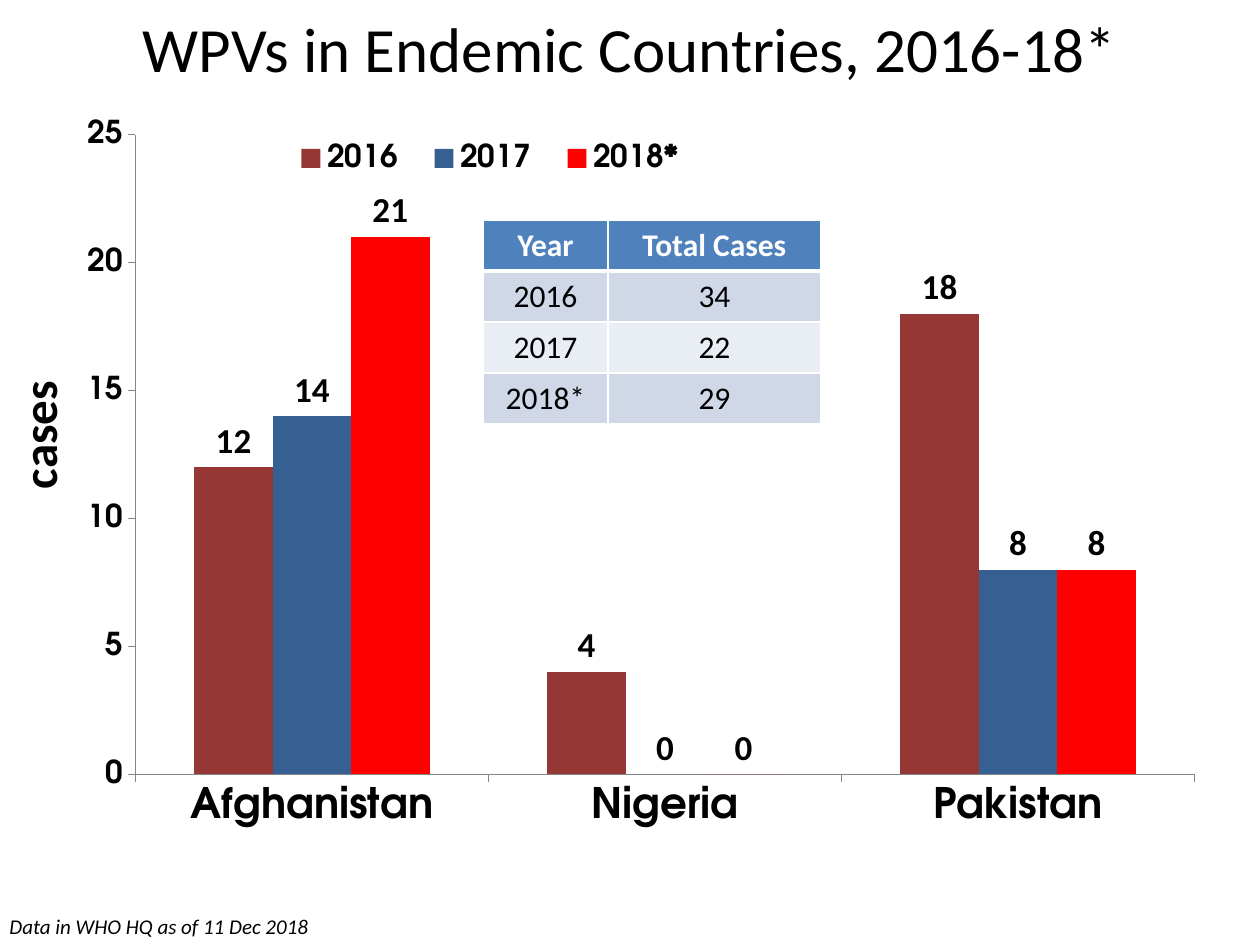
"""Build the slide on WPV cases in endemic countries, 2016-18."""
from lxml.etree import SubElement
from pptx import Presentation
from pptx.chart.data import CategoryChartData
from pptx.dml.color import RGBColor
from pptx.enum.chart import XL_CHART_TYPE, XL_LABEL_POSITION, XL_LEGEND_POSITION, XL_TICK_MARK
from pptx.enum.shapes import MSO_SHAPE
from pptx.enum.text import MSO_ANCHOR, MSO_AUTO_SIZE, PP_ALIGN
from pptx.oxml import parse_xml
from pptx.oxml.ns import nsdecls, qn
from pptx.util import Pt

PX = 914400 / 126
COLORS = {
    "black": "000000", "white": "FFFFFF", "axis": "868686",
    "2016": "953735", "2017": "376092", "2018*": "FF0000",
    "header": "4F81BD", "band": "D0D8E8", "light": "E9EDF4",
}
BODY, DISPLAY = "Calibri", "TeX Gyre Adventor"


def style(font, size, name=BODY, color="black", bold=False, italic=False):
    font.size, font.name, font.bold, font.italic = Pt(size), name, bold, italic
    font.color.rgb = RGBColor.from_string(COLORS[color])


def set_layout(parent, index, target, **box):
    for old in parent.findall(qn("c:layout")):
        parent.remove(old)
    layout = parse_xml(f"<c:layout {nsdecls('c')}/>")
    manual = SubElement(layout, qn("c:manualLayout"))
    if target:
        SubElement(manual, qn("c:layoutTarget")).set("val", target)
    for key in ("xMode", "yMode"):
        SubElement(manual, qn(f"c:{key}")).set("val", "edge")
    for key, value in box.items():
        SubElement(manual, qn(f"c:{key}")).set("val", str(value))
    parent.insert(index, layout)


prs = Presentation()
prs.slide_width, prs.slide_height = int(1260 * PX), int(945 * PX)
s = prs.slides.add_slide(prs.slide_layouts[5])
white = RGBColor.from_string(COLORS["white"])

title = s.shapes.title
title.left, title.top, title.width, title.height = [int(v * PX) for v in (0, 9, 1260, 77)]
title.fill.solid()
title.fill.fore_color.rgb = white
tf = title.text_frame
tf.vertical_anchor = MSO_ANCHOR.MIDDLE
tf.auto_size = MSO_AUTO_SIZE.NONE
p = tf.paragraphs[0]
p.alignment = PP_ALIGN.CENTER
r = p.add_run()
r.text = "WPVs in Endemic Countries, 2016-18*"
style(r.font, 36)

data = CategoryChartData()
data.categories = ["Afghanistan", "Nigeria", "Pakistan"]
for year, cases in (("2016", (12, 4, 18)), ("2017", (14, 0, 8)), ("2018*", (21, 0, 8))):
    data.add_series(year, cases)
box = [int(v * PX) for v in (54, 111, 1164, 790)]
chart = s.shapes.add_chart(XL_CHART_TYPE.COLUMN_CLUSTERED, *box, data).chart
style(chart.font, 18)
chart.has_title = False

plot = chart.plots[0]
plot.gap_width, plot.overlap, plot.vary_by_categories = 150, 0, False
for series in plot.series:
    series.invert_if_negative = False
    series.format.fill.solid()
    series.format.fill.fore_color.rgb = RGBColor.from_string(COLORS[series.name])
    labels = series.data_labels
    labels.show_value = True
    labels.position = XL_LABEL_POSITION.OUTSIDE_END
    style(labels.font, 20, bold=True)

for axis, size in ((chart.category_axis, 24), (chart.value_axis, 18)):
    axis.has_major_gridlines = False
    axis.major_tick_mark = XL_TICK_MARK.OUTSIDE
    axis.minor_tick_mark = XL_TICK_MARK.NONE
    axis.format.line.color.rgb = RGBColor.from_string(COLORS["axis"])
    style(axis.tick_labels.font, size, DISPLAY, bold=True)
chart.value_axis.minimum_scale, chart.value_axis.maximum_scale = 0, 25
chart.value_axis.major_unit = 5

chart.has_legend = True
legend = chart.legend
legend.position = XL_LEGEND_POSITION.BOTTOM
legend.include_in_layout = False
style(legend.font, 18, DISPLAY, bold=True)
set_layout(legend._element, 1, None, x=0.19, y=0.03, w=0.37, h=0.06)

area = chart._chartSpace.chart.plotArea
set_layout(area, 0, "inner", x=0.07, y=0.03, w=0.91, h=0.81)
fill = SubElement(SubElement(area, qn("c:spPr")), qn("a:solidFill"))
SubElement(fill, qn("a:srgbClr")).set("val", COLORS["white"])

box = [int(v * PX) for v in (-158, 399, 392, 72)]
sp = s.shapes.add_textbox(*box)
sp.rotation = 270
tf = sp.text_frame
tf.word_wrap = True
tf.auto_size = MSO_AUTO_SIZE.SHAPE_TO_FIT_TEXT
p = tf.paragraphs[0]
p.alignment = PP_ALIGN.CENTER
r = p.add_run()
r.text = "cases"
style(r.font, 28, bold=True)

box = [int(v * PX) for v in (-3, 907, 394, 34)]
sp = s.shapes.add_shape(MSO_SHAPE.RECTANGLE, *box)
sp.shadow.inherit = False
sp.fill.solid()
sp.fill.fore_color.rgb = white
sp.line.fill.background()
tf = sp.text_frame
tf.word_wrap = True
tf.vertical_anchor = MSO_ANCHOR.TOP
p = tf.paragraphs[0]
p.alignment = PP_ALIGN.LEFT
r = p.add_run()
r.text = "Data in WHO HQ as of 11 Dec 2018"
style(r.font, 12, italic=True)

rows = [("Year", "Total Cases"), ("2016", "34"), ("2017", "22"), ("2018*", "29")]
box = [int(v * PX) for v in (483, 220, 338, 204)]
table = s.shapes.add_table(len(rows), 2, *box).table
for column, width in zip(table.columns, (125, 213)):
    column.width = int(width * PX)
for i, (row, fill) in enumerate(zip(rows, ("header", "band", "light", "band"))):
    table.rows[i].height = int(51 * PX)
    for j, text in enumerate(row):
        cell = table.cell(i, j)
        cell.fill.solid()
        cell.fill.fore_color.rgb = RGBColor.from_string(COLORS[fill])
        p = cell.text_frame.paragraphs[0]
        p.alignment = PP_ALIGN.CENTER
        r = p.add_run()
        r.text = text
        style(r.font, 18, color="black" if i else "white", bold=i == 0)
        for side in "LRTB":
            weight = 3 if side == "B" and i == 0 or side == "T" and i == 1 else 1
            border = parse_xml(
                f'<a:ln{side} {nsdecls("a")} w="{Pt(weight)}"><a:solidFill>'
                f'<a:srgbClr val="{COLORS["white"]}"/></a:solidFill></a:ln{side}>')
            cell._tc.tcPr.insert("LRTB".index(side), border)

prs.save("out.pptx")
